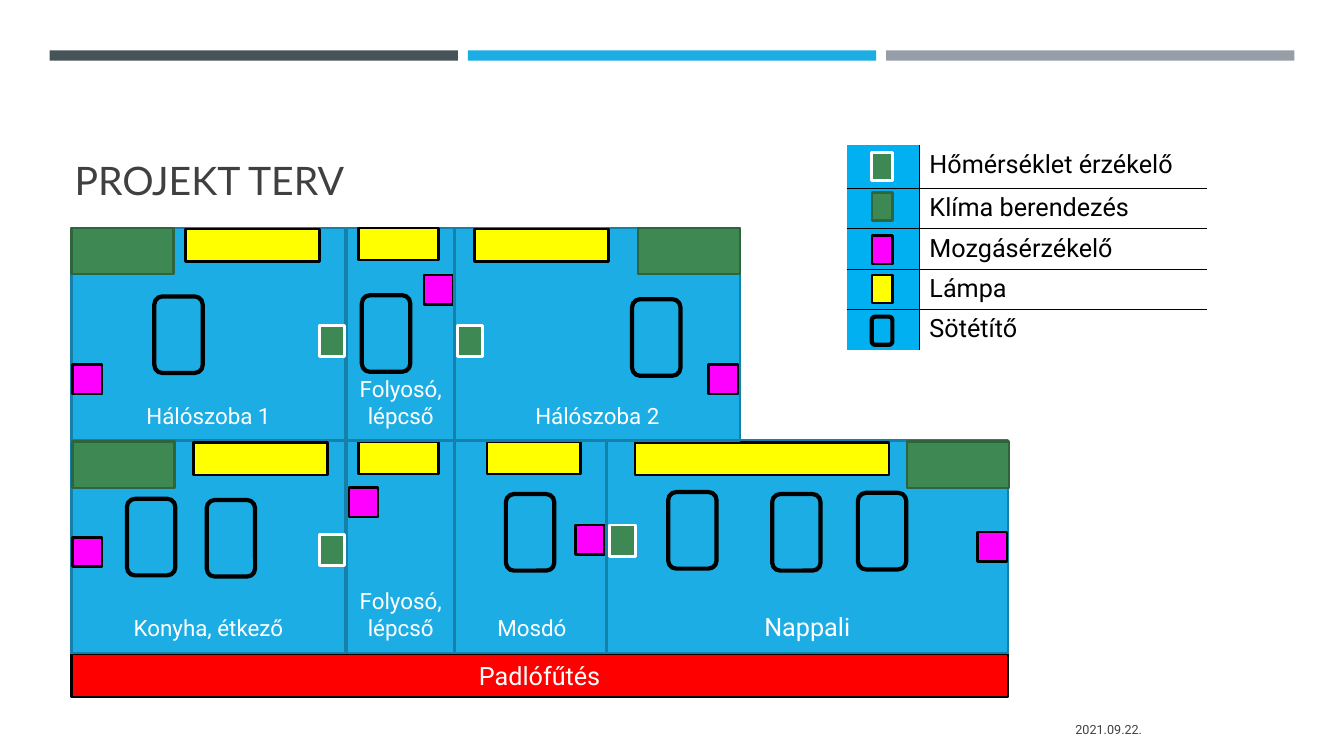
from dataclasses import dataclass

from lxml import etree
from pptx import Presentation
from pptx import util as u
from pptx.dml import color
from pptx.enum import shapes, text
from pptx.oxml import ns


@dataclass(frozen=True)
class Theme:
    black: str = "000000"
    white: str = "FFFFFF"
    ink: str = "404040"
    room: str = "1CADE4"
    room_edge: str = "1580A9"
    heating: str = "FF0000"
    legend: str = "00B0F0"
    bars: tuple = ("465359", "1CADE4", "969FA7")
    title_font: str = "Lato"
    body_font: str = "Roboto"
    title_size: float = 28
    large_size: float = 18
    room_size: float = 16
    date_size: float = 9


THEME = Theme()
RECTANGLE = shapes.MSO_SHAPE.RECTANGLE
ROUNDED = shapes.MSO_SHAPE.ROUNDED_RECTANGLE
CENTER = text.PP_ALIGN.CENTER


@dataclass(frozen=True)
class Device:
    name: str
    width: float
    height: float
    fill: str | None
    line: str
    weight: float = 1.75
    preset: int = RECTANGLE


TEMPERATURE = Device("Hőmérséklet érzékelő", 0.64, 0.79, "3E8853", THEME.white, 2)
CLIMATE = Device("Klíma berendezés", 2.57, 1.17, "3E8853", "2E653D")
MOTION = Device("Mozgásérzékelő", 0.74, 0.74, "FF00FF", THEME.black)
LAMP = Device("Lámpa", 3.38, 0.82, "FFFF00", THEME.black)
SHADE = Device("Sötétítő", 1.22, 1.93, None, THEME.black, 3, ROUNDED)

UPPER, LOWER, ROOM_HEIGHT = 5.74, 11.1, 5.36

# Rooms from back to front: label, left, top, width, text size,
# then devices as (kind, left, top[, width]); all lengths in cm.
ROOMS = [
    ("Folyosó, lépcső", 8.74, LOWER, 2.72, THEME.room_size, [
        (MOTION, 8.79, 12.29), (LAMP, 9.04, 11.13, 2.01)]),
    ("Mosdó", 11.46, LOWER, 3.89, THEME.room_size, [
        (MOTION, 14.5, 13.23), (LAMP, 12.27, 11.13, 2.36),
        (SHADE, 12.75, 12.45)]),
    ("Nappali", 15.29, LOWER, 10.11, THEME.large_size, [
        (CLIMATE, 22.86, 11.13), (TEMPERATURE, 15.37, 13.23),
        (MOTION, 24.64, 13.41), (LAMP, 16, 11.15, 6.4),
        (SHADE, 16.84, 12.4), (SHADE, 19.46, 12.45), (SHADE, 21.62, 12.42)]),
    ("Folyosó, lépcső", 8.74, UPPER, 2.72, THEME.room_size, [
        (MOTION, 10.69, 6.93), (LAMP, 9.04, 5.74, 2.01),
        (SHADE, 9.12, 7.44)]),
    ("Hálószoba 2", 11.46, UPPER, 7.19, THEME.room_size, [
        (CLIMATE, 16.08, 5.74), (TEMPERATURE, 11.53, 8.2),
        (LAMP, 11.96, 5.77), (SHADE, 15.93, 7.54), (MOTION, 17.86, 9.19)]),
    ("Hálószoba 1", 1.8, UPPER, 6.91, THEME.room_size, [
        (CLIMATE, 1.8, 5.74), (TEMPERATURE, 8.05, 8.2),
        (LAMP, 4.67, 5.77), (SHADE, 3.89, 7.47), (MOTION, 1.83, 9.19)]),
    ("Konyha, étkező", 1.8, LOWER, 6.91, THEME.room_size, [
        (CLIMATE, 1.83, 11.13), (TEMPERATURE, 8.05, 13.46),
        (MOTION, 1.83, 13.54), (LAMP, 4.88, 11.15),
        (SHADE, 3.2, 12.57), (SHADE, 5.21, 12.6)]),
]

# Each legend entry with the top of its swatch.
LEGEND = [(TEMPERATURE, 3.84), (CLIMATE, 4.85), (MOTION, 5.94),
          (LAMP, 6.93), (SHADE, 7.98)]


def rgb(value):
    return color.RGBColor.from_string(value)


def write_text(frame, content, *, size, ink, font=THEME.body_font,
               align=text.PP_ALIGN.LEFT, anchor=text.MSO_ANCHOR.MIDDLE):
    frame.word_wrap = True
    frame.vertical_anchor = anchor
    paragraph = frame.paragraphs[0]
    paragraph.alignment = align
    run = paragraph.add_run()
    run.text = content
    run.font.name = font
    run.font.size = u.Pt(size)
    run.font.color.rgb = rgb(ink)


def add_box(slide, left, top, width, height, fill, line=None, weight=1.75,
            preset=RECTANGLE):
    shape = slide.shapes.add_shape(
        preset, u.Cm(left), u.Cm(top), u.Cm(width), u.Cm(height))
    shape.shadow.inherit = False
    if fill:
        shape.fill.solid()
        shape.fill.fore_color.rgb = rgb(fill)
    else:
        shape.fill.background()
    if line:
        shape.line.color.rgb = rgb(line)
        shape.line.width = u.Pt(weight)
    else:
        shape.line.fill.background()
    return shape


def add_label(slide, left, top, width, height, content, **text_format):
    box = slide.shapes.add_textbox(
        u.Cm(left), u.Cm(top), u.Cm(width), u.Cm(height))
    write_text(box.text_frame, content, **text_format)


def add_device(slide, device, left, top, width=None, height=None):
    add_box(slide, left, top, width or device.width, height or device.height,
            device.fill, device.line, device.weight, device.preset)


def add_room(slide, label, left, top, width, size, devices):
    room = add_box(slide, left, top, width, ROOM_HEIGHT,
                   THEME.room, THEME.room_edge)
    frame = room.text_frame
    frame.margin_left = frame.margin_right = u.Cm(0.1)
    frame.margin_bottom = u.Cm(0.3)
    write_text(frame, label, size=size, ink=THEME.white, align=CENTER,
               anchor=text.MSO_ANCHOR.BOTTOM)
    for device in devices:
        add_device(slide, *device)


def set_borders(cell, visible_sides):
    """Draw a thin black line on the given sides (L, R, T, B) only."""
    properties = cell._tc.get_or_add_tcPr()
    for index, side in enumerate("LRTB"):
        line = etree.Element(ns.qn(f"a:ln{side}"), w=str(u.Pt(1)))
        if side in visible_sides:
            fill = etree.SubElement(line, ns.qn("a:solidFill"))
            etree.SubElement(fill, ns.qn("a:srgbClr"), val=THEME.black)
        else:
            etree.SubElement(line, ns.qn("a:noFill"))
        properties.insert(index, line)


def add_legend(slide):
    table = slide.shapes.add_table(
        len(LEGEND), 2, u.Cm(21.34), u.Cm(3.66), u.Cm(9.09), u.Cm(5.09)).table
    table.first_row = table.horz_banding = False
    table.columns[0].width = u.Cm(1.83)
    table.columns[1].width = u.Cm(7.26)
    for index, (device, swatch_top) in enumerate(LEGEND):
        table.rows[index].height = u.Cm(0.99 if index else 1.09)
        key, name = table.cell(index, 0), table.cell(index, 1)
        key.fill.solid()
        key.fill.fore_color.rgb = rgb(THEME.legend)
        name.fill.background()
        write_text(name.text_frame, device.name, size=THEME.large_size,
                   ink=THEME.black)
        name.vertical_anchor = text.MSO_ANCHOR.TOP
        rules = ("T" if index else "") + ("B" if device is not SHADE else "")
        set_borders(key, "R" + rules)
        set_borders(name, "L" + rules)
        add_device(slide, device, 21.97, swatch_top, 0.52, 0.71)


def main():
    presentation = Presentation()
    presentation.slide_width = u.Cm(33.87)
    presentation.slide_height = u.Cm(19.05)
    slide = presentation.slides.add_slide(presentation.slide_layouts[6])

    for index, fill in enumerate(THEME.bars):
        add_box(slide, 1.25 + 10.54 * index, 1.27, 10.29, 0.26, fill)
    add_label(slide, 1.63, 1.96, 30.63, 3.3, "PROJEKT TERV",
              size=THEME.title_size, ink=THEME.ink, font=THEME.title_font,
              anchor=text.MSO_ANCHOR.BOTTOM)
    add_label(slide, 21.13, 17.86, 7.9, 1.02, "2021.09.22.",
              size=THEME.date_size, ink=THEME.ink, align=text.PP_ALIGN.RIGHT)

    heating = add_box(slide, 1.8, 16.48, 23.6, 1.09, THEME.heating, THEME.black)
    write_text(heating.text_frame, "Padlófűtés", size=THEME.large_size,
               ink=THEME.white, align=CENTER)
    for room in ROOMS:
        add_room(slide, *room)
    add_legend(slide)
    presentation.save("out.pptx")


if __name__ == "__main__":
    main()
